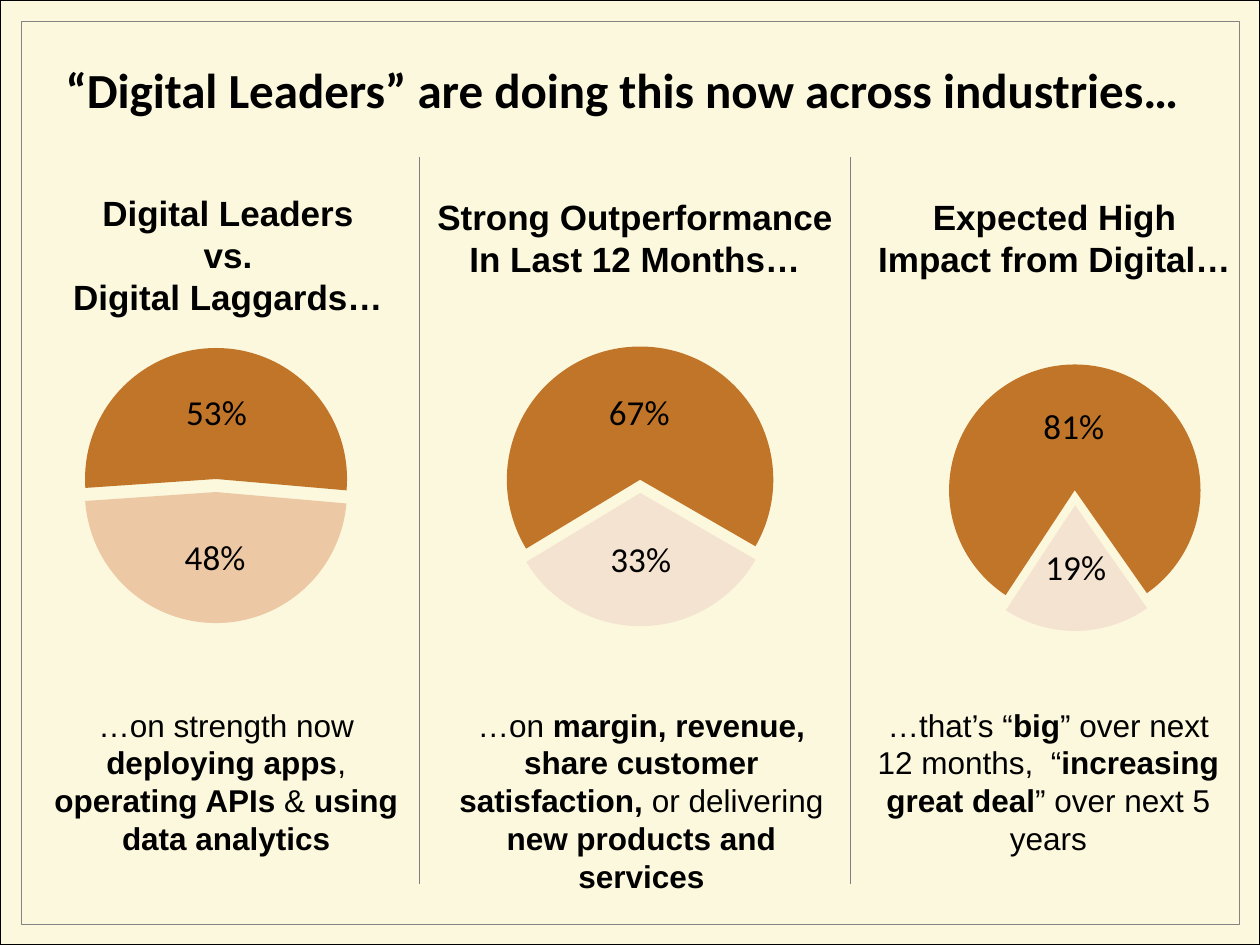
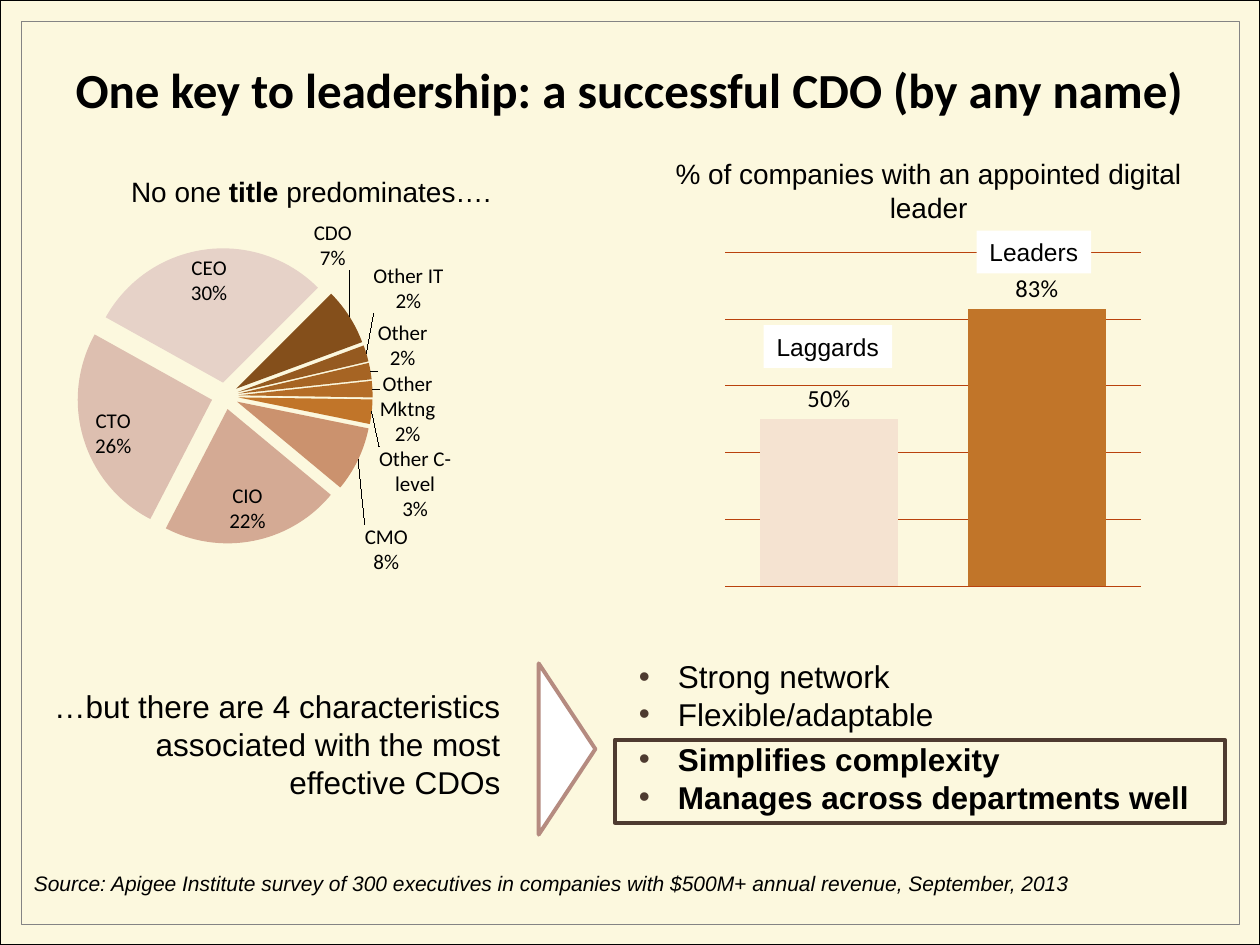
from pptx import Presentation
from pptx.chart.data import CategoryChartData
from pptx.dml.color import RGBColor
from pptx.enum.chart import XL_CHART_TYPE, XL_LABEL_POSITION
from pptx.enum.shapes import MSO_CONNECTOR, MSO_SHAPE
from pptx.enum.text import MSO_ANCHOR, MSO_AUTO_SIZE, PP_ALIGN
from pptx.oxml import parse_xml
from pptx.oxml.ns import nsdecls, qn
from pptx.util import Inches, Pt

CREAM, BLACK, WHITE, BROWN = "FCF8DE", "000000", "FFFFFF", "4E3B30"
FRAME_GRAY, DIVIDER_GRAY = "848484", "7F7F7F"
ORANGE, PALE, TAN, ROSE, RUST = "C17529", "F5E3D1", "ECC8A4", "B58B80", "B9420D"

# Each paragraph is a list of runs that alternate plain, bold, plain, ...
LEADERS_TITLE = "“Digital Leaders” are doing this now across industries…"
COLUMNS = [
    {
        "header": [["", "Digital Leaders"], ["", "vs."], ["", "Digital Laggards…"]],
        "header_at": (0.06, 1.47, 3.5, 1.11),
        "note": ["…on strength now ", "deploying apps", ", ", "operating APIs ", "& ",
                 "using data analytics"],
        "note_at": (0.17, 5.55, 3.25, 1.31),
        "chart_at": (0.5, 2.5, 3.5, 2.75),
        "plot": (0.035, 0, 0.624, 0.985),
        "values": (48, 53), "format": '0"%"', "colors": (TAN, ORANGE),
        "start": 95, "explosion": 5,
    },
    {
        "header": [["", "Strong Outperformance In Last 12 Months…"]],
        "header_at": (3.29, 1.5, 3.5, 0.77),
        "note": ["…on ", "margin, revenue, share customer satisfaction,",
                 " or delivering ", "new products and services"],
        "note_at": (3.39, 5.55, 3.4, 1.62),
        "chart_at": (3.58, 2.75, 3.42, 2.26),
        "plot": (0.088, 0, 0.702, 0.983),
        "values": (0.33, 0.67), "format": "0%", "colors": (PALE, ORANGE),
        "start": 120, "explosion": 5,
    },
    {
        "header": [["", "Expected High Impact from Digital…"]],
        "header_at": (6.82, 1.5, 3.1, 0.77),
        "note": ["…that’s “", "big", "” over next 12 months,  “",
                 "increasing great deal", "” over next 5 years"],
        "note_at": (6.8, 5.55, 3.04, 1.31),
        "chart_at": (6.75, 2.75, 3.08, 2.5),
        "plot": (0.235, 0, 0.687, 0.961),
        "values": (0.19, 0.81), "format": "0%", "colors": (PALE, ORANGE),
        "start": 145, "explosion": 6,
    },
]
DIVIDERS = (3.33, 6.75)

CDO_TITLE = "One key to leadership: a successful CDO (by any name)"
JOB_TITLES = [
    ("CDO", 0.07, "844F1B"), ("Other IT", 0.02, "955A20"), ("Other", 0.02, "A66423"),
    ("Other Mktng", 0.02, "B46D27"), ("Other C-level", 0.03, ORANGE),
    ("CMO", 0.08, "CB926E"), ("CIO", 0.22, "D4AA94"), ("CTO", 0.26, "DDBFB0"),
    ("CEO", 0.3, "E6D2C8"),
]
APPOINTED = [
    ("Laggards", 0.5, PALE, (6.06, 2.58, 1.02, 0.34)),
    ("Leaders", 0.83, ORANGE, (7.75, 1.83, 0.91, 0.34)),
]
TRAITS = [["Strong network"], ["Flexible/adaptable"], ["", "Simplifies complexity"],
          ["", "Manages across departments well"]]
FIRST_BOXED_TRAIT = 2
PIE_HEADING = ["No one ", "title", " predominates…."]
BAR_HEADING = ["% of companies with an appointed digital leader"]
TRAITS_LEAD = ["…but there are 4 characteristics associated with the most effective CDOs"]
SOURCE = ["Source: Apigee Institute survey of 300 executives in companies with "
          "$500M+ annual revenue, September, 2013"]


def color(hex_string):
    return RGBColor.from_string(hex_string)


def box(at):
    return [Inches(length) for length in at]


def place(shape, at):
    shape.left, shape.top, shape.width, shape.height = box(at)


def style_font(font, size, name="Arial", bold=None, italic=None):
    font.size, font.name, font.bold, font.italic = Pt(size), name, bold, italic
    font.color.rgb = color(BLACK)


def fill_paragraph(paragraph, runs, size, align=PP_ALIGN.LEFT, name="Arial", italic=None):
    paragraph.alignment = align
    for index, text in enumerate(runs):
        if text:
            run = paragraph.add_run()
            run.text = text
            style_font(run.font, size, name, index % 2 == 1, italic)


def paragraphs_for(frame, count):
    return [frame.paragraphs[0]] + [frame.add_paragraph() for _ in range(count - 1)]


def add_text(slide, at, paragraphs, size, align=PP_ALIGN.CENTER,
             anchor=MSO_ANCHOR.MIDDLE, italic=None):
    frame = slide.shapes.add_textbox(*box(at)).text_frame
    frame.word_wrap = True
    frame.vertical_anchor = anchor
    for paragraph, runs in zip(paragraphs_for(frame, len(paragraphs)), paragraphs):
        fill_paragraph(paragraph, runs, size, align, italic=italic)


def add_preset(slide, preset, at, fill=None, line=None, width=0.75):
    shape = slide.shapes.add_shape(preset, *box(at))
    shape.shadow.inherit = False
    if fill:
        shape.fill.solid()
        shape.fill.fore_color.rgb = color(fill)
    else:
        shape.fill.background()
    if line:
        shape.line.color.rgb = color(line)
        shape.line.width = Pt(width)
    else:
        shape.line.fill.background()
    return shape


def add_divider(slide, x):
    line = slide.shapes.add_connector(
        MSO_CONNECTOR.STRAIGHT, Inches(x), Inches(7.02), Inches(x), Inches(1.25))
    line.line.color.rgb = color(DIVIDER_GRAY)
    line.line.width = Pt(0.25)
    line.element.spPr.append(parse_xml(f"<a:effectLst {nsdecls('a')}/>"))


def chart_element(tag, value):
    return parse_xml(f'<c:{tag} {nsdecls("c")} val="{value}"/>')


def set_plot_layout(chart, plot):
    """Fix the inner plot area as fractions of the chart frame."""
    area = chart.element.find(".//" + qn("c:plotArea"))
    for layout in area.findall(qn("c:layout")):
        area.remove(layout)
    edges = "".join(f'<c:{tag} val="{value}"/>' for tag, value in zip("xywh", plot))
    area.insert(0, parse_xml(
        f'<c:layout {nsdecls("c")}><c:manualLayout><c:layoutTarget val="inner"/>'
        f'<c:xMode val="edge"/><c:yMode val="edge"/>{edges}'
        "</c:manualLayout></c:layout>"))


def add_value_chart(slide, kind, at, plot, categories, values, colors, label_size,
                    number_format="0%"):
    """Add a one-series chart with a colour for each point and value labels."""
    data = CategoryChartData()
    data.categories = categories
    data.add_series("Series 1", values)
    chart = slide.shapes.add_chart(kind, *box(at), data).chart
    chart.has_legend = chart.has_title = False
    style_font(chart.font, label_size, "Calibri")
    set_plot_layout(chart, plot)
    series = chart.plots[0].series[0]
    for index, hex_string in enumerate(colors):
        fill = series.points[index].format.fill
        fill.solid()
        fill.fore_color.rgb = color(hex_string)
    labels = series.data_labels
    labels.show_value = True
    labels.number_format = number_format
    labels.number_format_is_linked = False
    style_font(labels.font, label_size, "Calibri")
    return chart, labels


def add_pie(slide, at, plot, categories, values, colors, label_size, start, explosion,
            number_format="0%"):
    chart, labels = add_value_chart(slide, XL_CHART_TYPE.PIE, at, plot, categories,
                                    values, colors, label_size, number_format)
    pie = chart.element.find(".//" + qn("c:pieChart"))
    for angle in pie.findall(qn("c:firstSliceAng")):
        pie.remove(angle)
    pie.append(chart_element("firstSliceAng", start))
    pie.find(".//" + qn("c:tx")).addnext(chart_element("explosion", explosion))
    labels.position = XL_LABEL_POSITION.CENTER
    return chart, labels


def start_slide(presentation, layout_index, title, left):
    slide = presentation.slides.add_slide(presentation.slide_layouts[layout_index])
    shape = slide.shapes.title
    place(shape, (left, 0.42, 9.33, 0.57))
    frame = shape.text_frame
    frame.auto_size = MSO_AUTO_SIZE.NONE
    frame.vertical_anchor = MSO_ANCHOR.MIDDLE
    fill_paragraph(frame.paragraphs[0], ["", title], 28, name="Calibri")
    return slide


def move_backdrop_to_master(presentation, slide):
    """Draw the page and its frame once, behind everything on the master."""
    backdrop = [
        add_preset(slide, MSO_SHAPE.RECTANGLE, (0, 0, 10, 7.5), CREAM, BLACK),
        add_preset(slide, MSO_SHAPE.RECTANGLE, (0.17, 0.17, 9.67, 7.17),
                   line=FRAME_GRAY, width=0.5),
    ]
    tree = presentation.slide_master.element.cSld.spTree
    for index, shape in enumerate(backdrop):
        shape.element.nvSpPr.cNvPr.set("id", str(101 + index))
        tree.insert(2 + index, shape.element)


def build_leaders_slide(presentation):
    slide = start_slide(presentation, 5, LEADERS_TITLE, 0.42)
    move_backdrop_to_master(presentation, slide)
    for column in COLUMNS:
        add_pie(slide, column["chart_at"], column["plot"], ("1", "2"), column["values"],
                column["colors"], 20, column["start"], column["explosion"],
                column["format"])
        add_text(slide, column["header_at"], column["header"], 20, anchor=MSO_ANCHOR.TOP)
        add_text(slide, column["note_at"], [column["note"]], 18, anchor=MSO_ANCHOR.TOP)
    for x in DIVIDERS:
        add_divider(slide, x)


def fill_traits(placeholder):
    """List the traits, with room above the boxed ones for the box's border."""
    place(placeholder, (4.97, 5.19, 4.61, 1.31))
    frame = placeholder.text_frame
    frame.auto_size = MSO_AUTO_SIZE.NONE
    frame.vertical_anchor = MSO_ANCHOR.MIDDLE
    paragraphs = paragraphs_for(frame, len(TRAITS))
    for index, (paragraph, runs) in enumerate(zip(paragraphs, TRAITS)):
        properties = paragraph._p.get_or_add_pPr()
        properties.set("marL", str(Inches(0.31)))
        properties.set("indent", str(Inches(-0.31)))
        properties.append(parse_xml(
            f'<a:buClr {nsdecls("a")}><a:srgbClr val="{BROWN}"/></a:buClr>'))
        properties.append(parse_xml(f'<a:buChar {nsdecls("a")} char="•"/>'))
        paragraph.space_before = Pt(4 if index == FIRST_BOXED_TRAIT else 0)
        fill_paragraph(paragraph, runs, 18)


def add_appointed_chart(slide):
    names, values, colors, places = zip(*APPOINTED)
    chart, labels = add_value_chart(
        slide, XL_CHART_TYPE.COLUMN_CLUSTERED, (5.33, 2, 3.93, 2.85),
        (0.108, 0, 0.84, 0.93), ("1", "2"), values, colors, 14)
    labels.position = XL_LABEL_POSITION.OUTSIDE_END
    chart.plots[0].vary_by_categories = False
    chart.plots[0].gap_width = 50
    chart.category_axis.visible = chart.value_axis.visible = False
    axis = chart.value_axis
    axis.minimum_scale, axis.maximum_scale, axis.major_unit = 0, 1, 0.2
    axis.major_gridlines.format.line.color.rgb = color(RUST)
    axis.major_gridlines.format.line.width = Pt(0.25)
    for name, at in zip(names, places):
        tag = add_preset(slide, MSO_SHAPE.RECTANGLE, at, WHITE)
        tag.text_frame.word_wrap = False
        fill_paragraph(tag.text_frame.paragraphs[0], [name], 14, PP_ALIGN.CENTER)


def build_cdo_slide(presentation):
    slide = start_slide(presentation, 1, CDO_TITLE, 0.5)
    fill_traits(slide.placeholders[1])
    add_appointed_chart(slide)
    names, shares, colors = zip(*JOB_TITLES)
    _, labels = add_pie(slide, (0.42, 1.67, 4.1, 3), (0.047, 0.014, 0.572, 0.954),
                        names, shares, colors, 12, 45, 10)
    labels.show_category_name = True
    labels.position = XL_LABEL_POSITION.BEST_FIT
    labels._element.find(qn("c:showBubbleSize")).addnext(
        parse_xml(f'<c:separator {nsdecls("c")}>\n</c:separator>'))
    add_preset(slide, MSO_SHAPE.RECTANGLE, (4.88, 5.87, 4.84, 0.66), line=BROWN, width=2.25)
    pointer = add_preset(slide, MSO_SHAPE.ISOSCELES_TRIANGLE, (3.82, 5.72, 1.36, 0.45),
                         WHITE, ROSE, 2.25)
    pointer.rotation = 90
    add_text(slide, (0.18, 5.4, 3.89, 1.01), [TRAITS_LEAD], 18, PP_ALIGN.RIGHT)
    add_text(slide, (0.17, 6.86, 8.63, 0.3), [SOURCE], 12, PP_ALIGN.LEFT, italic=True)
    add_text(slide, (5.17, 1.19, 4.4, 0.64), [BAR_HEADING], 16)
    add_text(slide, (0.27, 1.33, 4.4, 0.37), [PIE_HEADING], 16)


def main():
    presentation = Presentation()
    presentation.slide_width, presentation.slide_height = Inches(10), Inches(7.5)
    build_leaders_slide(presentation)
    build_cdo_slide(presentation)
    presentation.save("out.pptx")


if __name__ == "__main__":
    main()
